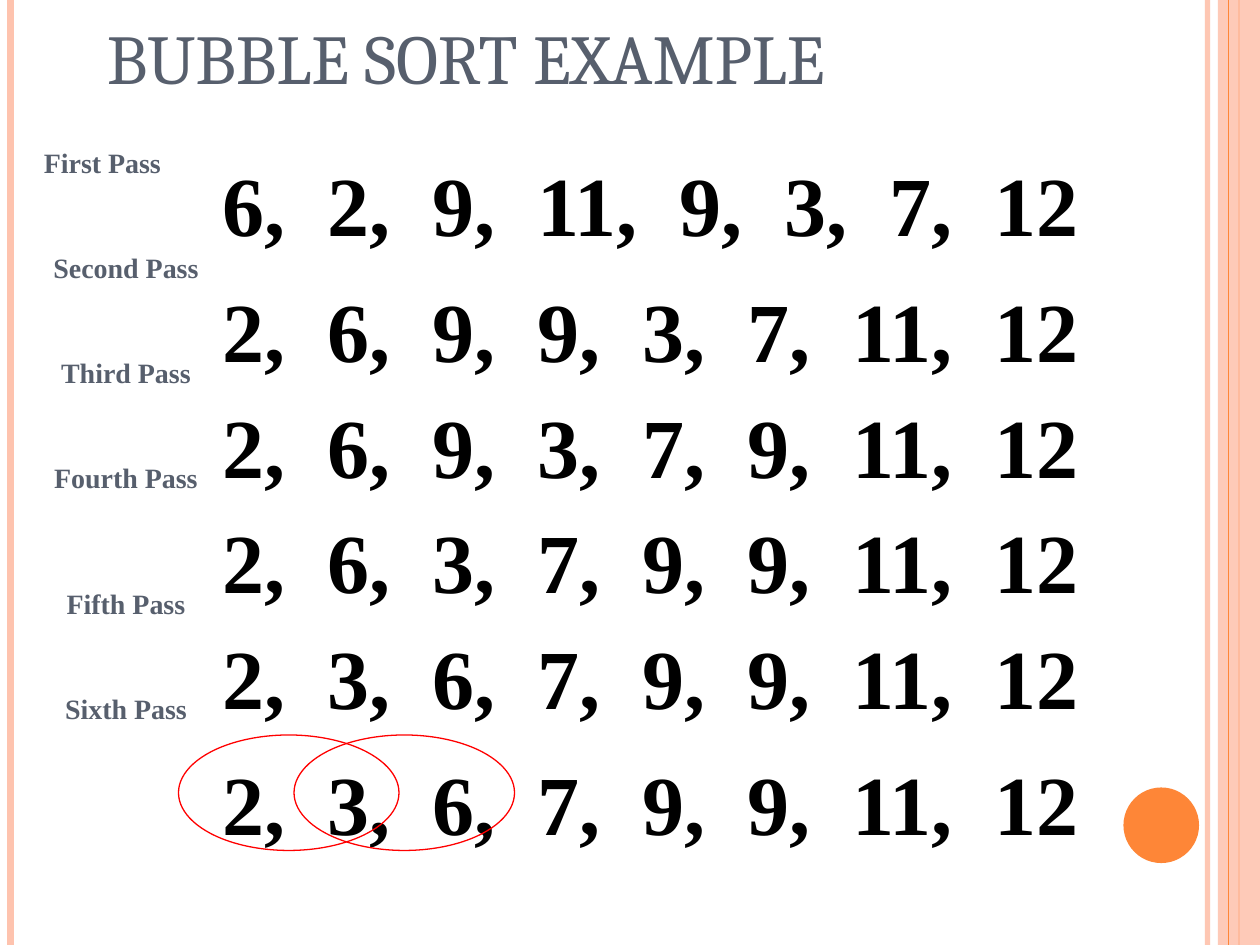
import pptx
import pptx.util
import pptx.dml.color
import pptx.enum.shapes
import pptx.enum.text
import pptx.oxml
import pptx.oxml.ns
from lxml import etree

Pt = pptx.util.Pt
Kind = pptx.enum.shapes.MSO_SHAPE
Align = pptx.enum.text.PP_ALIGN
Anchor = pptx.enum.text.MSO_ANCHOR
qn = pptx.oxml.ns.qn

# Content: label, its row, numbers, their row (grid unit: 1/12 inch)
TITLE = "BUBBLE SORT EXAMPLE"
PASSES = [
    ("First Pass", 12, [6, 2, 9, 11, 9, 3, 7, 12], 13),
    ("Second Pass", 22, [2, 6, 9, 9, 3, 7, 11, 12], 25),
    ("Third Pass", 32, [2, 6, 9, 3, 7, 9, 11, 12], 36),
    ("Fourth Pass", 42, [2, 6, 3, 7, 9, 9, 11, 12], 47),
    ("Fifth Pass", 54, [2, 3, 6, 7, 9, 9, 11, 12], 58),
    ("Sixth Pass", 64, [2, 3, 6, 7, 9, 9, 11, 12], 70),
]
RINGS = [17, 28]  # columns of the ovals round the compared pairs
STEP = {1: 60, 2: 81}  # points from one number to the next, by digits
SERIF = "Times New Roman"
SLATE, ORANGE, PEACH = "575F6D", "FE8637", "FEC3AE"

deck = pptx.Presentation()
deck.slide_width, deck.slide_height = pptx.util.Inches(10), pptx.util.Inches(7.5)
slide = deck.slides.add_slide(deck.slide_layouts[6])


def unit(n):
    return pptx.util.Inches(n / 12)


def color(code):
    return pptx.dml.color.RGBColor.from_string(code)


def fade(fill, share):
    """Make a solid colour partly transparent."""
    rgb = fill.find(".//" + qn("a:srgbClr"))
    etree.SubElement(rgb, qn("a:alpha")).set("val", str(share * 1000))


def rule(col, width, code, alpha=None):
    line = slide.shapes.add_connector(
        pptx.enum.shapes.MSO_CONNECTOR.STRAIGHT, unit(col), 0, unit(col), unit(90))
    line.line.width = Pt(width)
    line.line.color.rgb = color(code)
    props = line._element.spPr
    if alpha:
        fade(props, alpha)
    etree.SubElement(props, qn("a:effectLst"))


def shape(kind, box, fill=None, edge=None, alpha=None):
    item = slide.shapes.add_shape(kind, *map(unit, box))
    item.shadow.inherit = False
    if fill:
        item.fill.solid()
        item.fill.fore_color.rgb = color(fill)
        if alpha:
            fade(item._element.spPr, alpha)
    else:
        item.fill.background()
    if edge:
        item.line.color.rgb = color(edge)
        item.line.width = Pt(0.75)
    else:
        item.line.fill.background()


def text(words, box, size, font=SERIF, code=SLATE, bold=True,
         align=Align.LEFT, anchor=Anchor.MIDDLE, inset=0.05, stops=()):
    frame = slide.shapes.add_textbox(*map(unit, box)).text_frame
    frame.word_wrap = True
    frame.vertical_anchor = anchor
    frame.margin_top = pptx.util.Inches(inset)
    para = frame.paragraphs[0]
    para.text = words
    para.alignment = align
    if stops:
        tabs = etree.SubElement(para._p.get_or_add_pPr(), qn("a:tabLst"))
        for stop in stops:
            etree.SubElement(tabs, qn("a:tab"), pos=str(Pt(stop)), algn="l")
    face = para.runs[0].font
    face.name, face.size, face.bold = font, Pt(size), bold
    face.color.rgb = color(code)


# Side bands and disc
rule(115, 3, PEACH, 93)
rule(1, 4.5, PEACH)
rule(118, 1.5, ORANGE)
shape(Kind.RECTANGLE, (116, 0, 4, 90), PEACH, alpha=87)
rule(117, 0.75, ORANGE)
shape(Kind.OVAL, (107, 75, 7.2, 7.2), ORANGE)

# Title
text(TITLE, (9, 0, 102, 10), 40, font="Cambria", bold=False, anchor=Anchor.BOTTOM)

# Passes: the first label stands to the left, the others are centred
for i, (label, top, nums, row) in enumerate(PASSES):
    stops, pos = [], 0
    for num in nums[:-1]:
        pos += STEP[len(str(num))]
        stops.append(pos)
    text(",\t".join(map(str, nums)), (20, row, 88, 10.8), 48, code="000000",
         anchor=Anchor.TOP, inset=0.13, stops=stops)
    text(label, (0 if i else 3, top, 24, 7), 16,
         align=Align.CENTER if i else Align.LEFT)

# Compared pairs in the last pass
for col in RINGS:
    shape(Kind.OVAL, (col, PASSES[-1][3], 21, 11), edge="FF0000")

deck.save("out.pptx")
